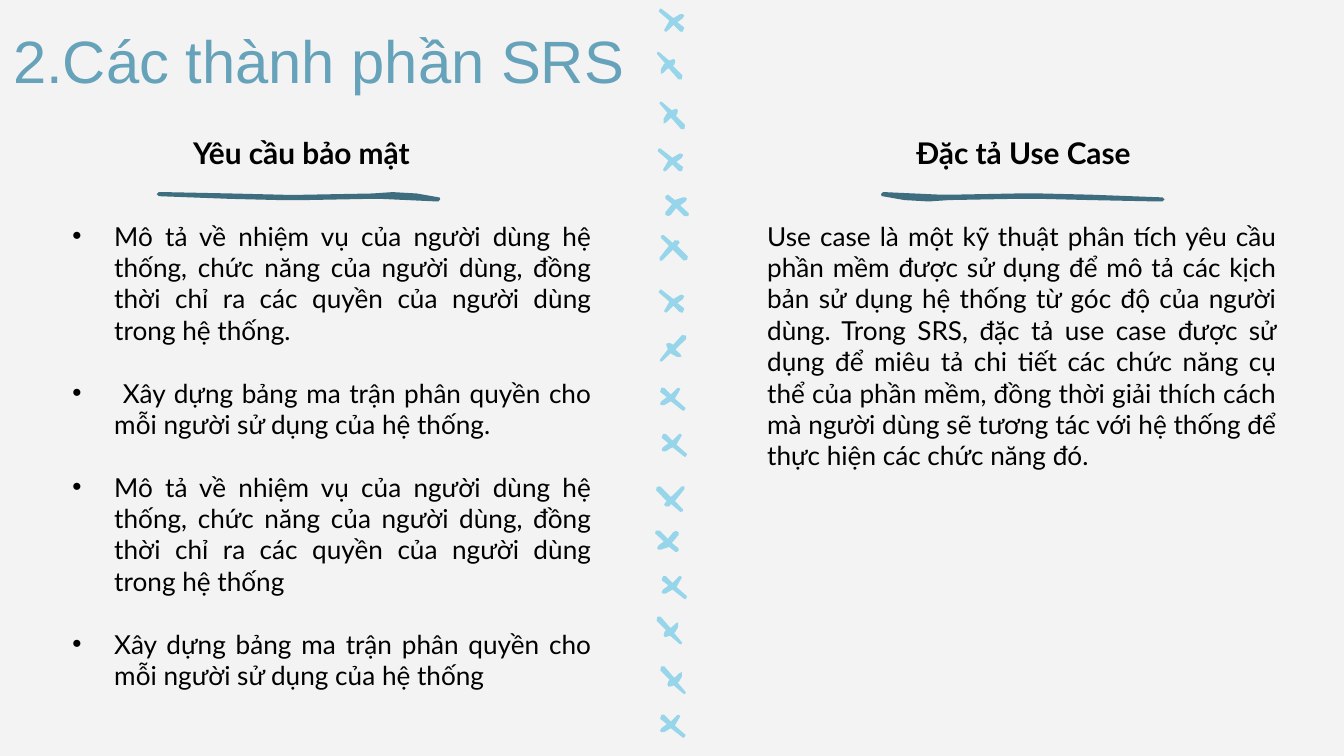
from dataclasses import dataclass
from math import cos, radians, sin

from lxml import etree
from pptx import Presentation
from pptx import util as u
from pptx.dml.color import RGBColor
from pptx.enum import text
from pptx.oxml import ns

COLORS = {
    "background": "F3F3F3",
    "cross": "97D5EA",
    "underline": "3D6D7F",
    "title": "66A2B9",
    "body": "000000",
}
UNIT = u.Cm(2.54) / 100


@dataclass
class Outline:
    tilt: float
    points: list[tuple[float, float]]


@dataclass
class Stroke:
    outline: Outline
    x: float
    y: float
    rotation: float
    color: str = "cross"


@dataclass
class TextBlock:
    x: float
    y: float
    w: float
    h: float
    size: int
    paragraphs: list[str]
    font: str = "Lato"
    color: str = "body"
    bold: bool = False
    justified: bool = False
    bulleted: bool = False
    anchor: text.MSO_ANCHOR = text.MSO_ANCHOR.TOP
    inset: float = 0.25
    inset_y: float = 0.25


TILT, TURNED = 42.6, 222.9
WIDE = Outline(TILT, [
    (9, -4), (7, -4), (2, -1), (-7, -8), (-8, -8), (-9, -6), (-1, 1), (-5, 8),
    (-4, 9), (-3, 9), (2, 4), (7, 9), (9, 9), (10, 6), (5, 2), (9, -1), (10, -3),
])
EVEN = Outline(TILT, [
    (6, -8.5), (3, -8.5), (2, -6.5), (-5, -12.5), (-7, -12), (-7, -10.5),
    (-1, -4.5), (-8, 4.5), (-8, 6.5), (-6, 6.5), (2, -1.5), (10, 6.5),
    (12.5, 6), (13, 3.5), (5, -4.5), (6, -5.5), (7, -7),
])
LONG = Outline(TILT, [
    (4.5, -6.5), (3.5, -6.5), (0.5, -5.5), (-6.5, -11.5), (-8, -12),
    (-8.5, -10.5), (-2.5, -3.5), (-3.5, -2.5), (-5.5, 1), (-5.5, 4.5),
    (-3.5, 3.5), (-0.5, 0.5), (0.5, 0.5), (7.5, 8.5), (10, 8.5),
    (10.5, 5.5), (3.5, -1.5), (4.5, -2.5), (5.2, -5),
])
SHORT = Outline(TILT, [
    (7, -7), (5, -7), (-1, -5), (-6, -9), (-8, -8), (-8, -6), (-3, -2),
    (-8, 4), (-8, 6), (-6, 7), (-4, 6), (0, 1), (6, 7), (9, 7), (9.5, 5),
    (3, -1), (7, -4), (8, -6),
])
BRUSH = Outline(0, [
    (-104, -3.5), (-105.5, -2), (-105, -0.5), (-88, 2.5), (-70, 3.5),
    (-55, 2.5), (-2, 1.5), (10, 1.5), (50, 2.5), (100, 3.5), (104, 3.5),
    (105.5, 2), (104, 0.5), (51, -1.5), (11, -2.5), (-1, -2.5),
    (-53, -1.5), (-61, -1.5),
])

STROKES = [
    Stroke(WIDE, 12.67, 0.38, TILT),
    Stroke(LONG, 12.64, 1.28, TILT),
    Stroke(LONG, 12.69, 2.22, TILT),
    Stroke(WIDE, 12.65, 3.02, TILT),
    Stroke(SHORT, 12.78, 3.91, TILT),
    Stroke(EVEN, 12.67, 4.76, TILT),
    Stroke(WIDE, 12.67, 5.69, TILT),
    Stroke(LONG, 12.76, 6.62, 309.8),
    Stroke(WIDE, 12.7, 7.54, TURNED),
    Stroke(WIDE, 12.73, 8.41, TURNED),
    Stroke(EVEN, 12.73, 9.36, TURNED),
    Stroke(SHORT, 12.62, 10.21, TURNED),
    Stroke(WIDE, 12.73, 11.1, TURNED),
    Stroke(LONG, 12.69, 11.9, TURNED),
    Stroke(LONG, 12.76, 12.84, TURNED),
    Stroke(WIDE, 12.7, 13.72, TURNED),
    Stroke(BRUSH, 5.64, 3.72, 180, "underline"),
    Stroke(BRUSH, 19.33, 3.72, 0, "underline"),
]

DUTIES = (
    "Mô tả về nhiệm vụ của người dùng hệ thống, chức năng của người dùng, "
    "đồng thời chỉ ra các quyền của người dùng trong hệ thống"
)
MATRIX = "Xây dựng bảng ma trận phân quyền cho mỗi người sử dụng của hệ thống"
USE_CASE = (
    "Use case là một kỹ thuật phân tích yêu cầu phần mềm được sử dụng để mô tả "
    "các kịch bản sử dụng hệ thống từ góc độ của người dùng. Trong SRS, đặc tả "
    "use case được sử dụng để miêu tả chi tiết các chức năng cụ thể của phần mềm, "
    "đồng thời giải thích cách mà người dùng sẽ tương tác với hệ thống để thực "
    "hiện các chức năng đó."
)

TEXTS = [
    TextBlock(0, -1.52, 16.64, 3.58, 32, ["2.Các thành phần SRS"], font="Arial",
              color="title", anchor=text.MSO_ANCHOR.BOTTOM),
    TextBlock(1.12, 3.91, 10.31, 2.97, 14,
              [f"{DUTIES}.", f" {MATRIX}.", DUTIES, MATRIX],
              justified=True, bulleted=True),
    TextBlock(14.25, 3.91, 10.13, 2.97, 14, [USE_CASE], justified=True),
    TextBlock(3.4, 2.41, 9.12, 0.94, 16, ["Yêu cầu bảo mật"], bold=True, inset_y=0.13),
    TextBlock(17.07, 2.41, 9.12, 0.94, 16, ["Đặc tả Use Case"], bold=True, inset_y=0.13),
]


def rgb(name: str) -> RGBColor:
    return RGBColor.from_string(COLORS[name])


def draw_stroke(slide, stroke: Stroke) -> None:
    a = radians(stroke.outline.tilt)
    cx, cy = u.Cm(stroke.x), u.Cm(stroke.y)
    points = [
        (round(cx + UNIT * (x * cos(a) + y * sin(a))),
         round(cy + UNIT * (y * cos(a) - x * sin(a))))
        for x, y in stroke.outline.points
    ]
    builder = slide.shapes.build_freeform(*points[0])
    builder.add_line_segments(points[1:], close=True)
    sp = builder.convert_to_shape()
    sp.rotation = stroke.rotation
    sp.shadow.inherit = False
    sp.fill.solid()
    sp.fill.fore_color.rgb = rgb(stroke.color)
    sp.line.fill.background()


def add_bullet(p) -> None:
    pPr = p._p.get_or_add_pPr()
    indent = u.Cm(0.79)
    pPr.set("marL", str(indent))
    pPr.set("indent", str(-indent))
    color = etree.SubElement(pPr, ns.qn("a:buClr"))
    etree.SubElement(color, ns.qn("a:srgbClr"), val=COLORS["body"])
    etree.SubElement(pPr, ns.qn("a:buFont"), typeface="Arial")
    etree.SubElement(pPr, ns.qn("a:buChar"), char="•")


def draw_text(slide, block: TextBlock) -> None:
    sp = slide.shapes.add_textbox(*map(u.Cm, (block.x, block.y, block.w, block.h)))
    tf = sp.text_frame
    tf.word_wrap = True
    tf.vertical_anchor = block.anchor
    tf.margin_left = tf.margin_right = u.Cm(block.inset)
    tf.margin_top = tf.margin_bottom = u.Cm(block.inset_y)
    for i, content in enumerate(block.paragraphs):
        p = tf.add_paragraph() if i else tf.paragraphs[0]
        if block.justified:
            p.alignment = text.PP_ALIGN.JUSTIFY
        if i:
            p.space_before = u.Pt(1.2 * block.size)
        if block.bulleted:
            add_bullet(p)
        r = p.add_run()
        r.text = content
        r.font.name = block.font
        r.font.size = u.Pt(block.size)
        r.font.bold = block.bold
        r.font.color.rgb = rgb(block.color)


def main() -> None:
    prs = Presentation()
    prs.slide_width, prs.slide_height = u.Cm(25.4), u.Cm(14.29)
    slide = prs.slides.add_slide(prs.slide_layouts[6])
    slide.background.fill.solid()
    slide.background.fill.fore_color.rgb = rgb("background")
    for stroke in STROKES:
        draw_stroke(slide, stroke)
    for block in TEXTS:
        draw_text(slide, block)
    prs.save("out.pptx")


if __name__ == "__main__":
    main()
